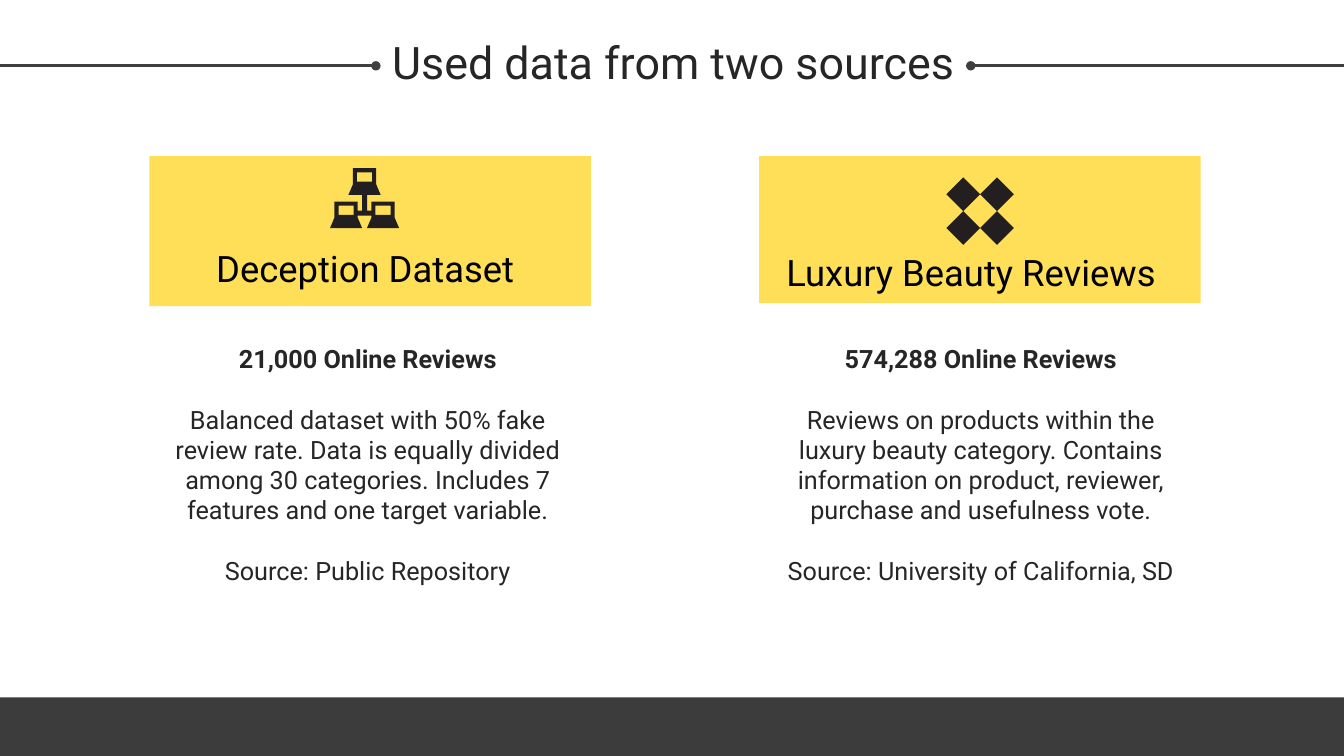
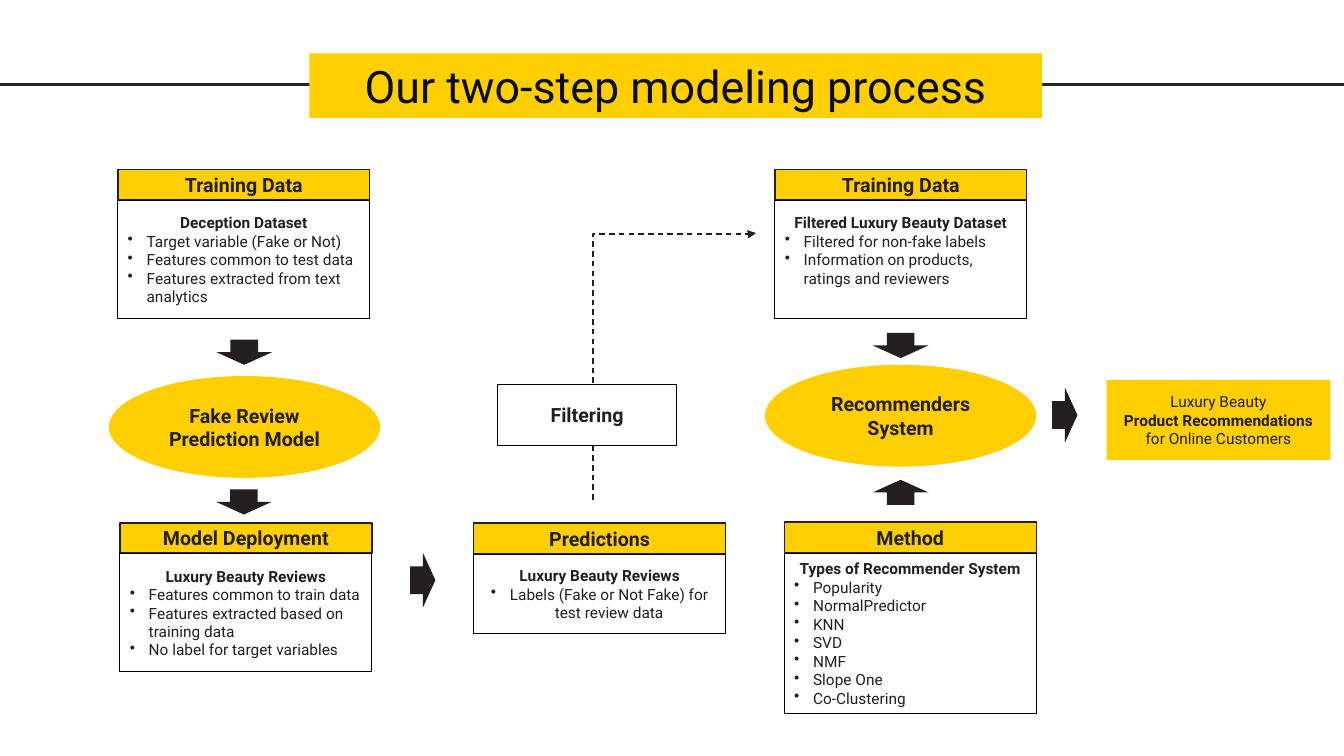
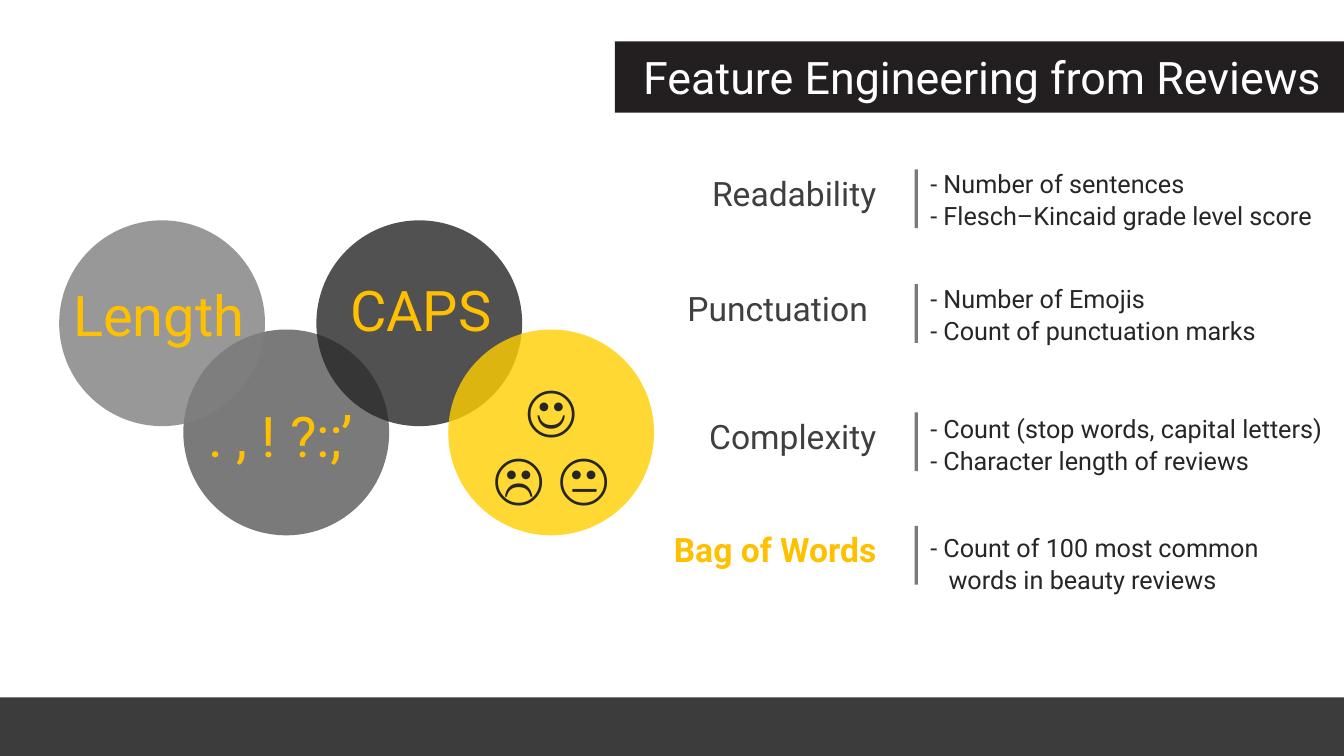
from lxml.etree import SubElement
from pptx import Presentation
from pptx.dml.color import RGBColor
from pptx.enum.dml import MSO_LINE
from pptx.enum.shapes import MSO_CONNECTOR, MSO_SHAPE
from pptx.enum.text import MSO_ANCHOR, PP_ALIGN
from pptx.oxml.ns import qn
from pptx.util import Pt

FONT = "Roboto"
TITLE_SIZE = 32
PAGE_WIDTH, PAGE_HEIGHT = 960, 540

BLACK = RGBColor(0x00, 0x00, 0x00)
WHITE = RGBColor(0xFF, 0xFF, 0xFF)
NEAR_BLACK = RGBColor(0x0C, 0x0C, 0x0C)
INK = RGBColor(0x23, 0x1F, 0x20)
CHARCOAL = RGBColor(0x26, 0x26, 0x26)
SLATE = RGBColor(0x3F, 0x3F, 0x3F)
GRAY = RGBColor(0x59, 0x59, 0x59)
LIGHT_GRAY = RGBColor(0x7F, 0x7F, 0x7F)
YELLOW = RGBColor(0xFF, 0xCF, 0x01)
SOFT_YELLOW = RGBColor(0xFF, 0xD7, 0x2D)
AMBER = RGBColor(0xFF, 0xC0, 0x00)


def points(*values):
    return [Pt(value) for value in values]


def make_translucent(item, percent=80):
    for color in item._element.spPr.iter(qn("a:srgbClr")):
        SubElement(color, qn("a:alpha"), val=str(percent * 1000))


def paint(shape, fill, outline=None, weight=0.75):
    shape.shadow.inherit = False
    if fill is None:
        shape.fill.background()
    else:
        shape.fill.solid()
        shape.fill.fore_color.rgb = fill
    if outline is None:
        shape.line.fill.background()
    else:
        shape.line.color.rgb = outline
        shape.line.width = Pt(weight)


def add_box(page, preset, frame, fill, outline=None, weight=0.75):
    shape = page.shapes.add_shape(preset, *points(*frame))
    paint(shape, fill, outline, weight)
    return shape


def write(shape, texts, size, color, bold=False, align=PP_ALIGN.CENTER, inset=None):
    frame = shape.text_frame
    frame.word_wrap = True
    if inset is not None:
        frame.margin_left = frame.margin_right = Pt(inset)
        frame.margin_top = frame.margin_bottom = Pt(inset)
    for index, text in enumerate(texts):
        para = frame.add_paragraph() if index else frame.paragraphs[0]
        para.text = text
        para.alignment = align
        para.font.name = FONT
        para.font.size = Pt(size)
        para.font.color.rgb = color
        para.font.bold = bold
    return frame.paragraphs


def add_text(page, frame, texts, size, color, bold=False, align=PP_ALIGN.CENTER):
    box = page.shapes.add_textbox(*points(*frame))
    box.text_frame.vertical_anchor = MSO_ANCHOR.TOP
    return write(box, texts, size, color, bold, align)


def add_line(page, start, end, color, weight=2.25, kind=MSO_CONNECTOR.STRAIGHT):
    line = page.shapes.add_connector(kind, *points(*start, *end))
    line.line.color.rgb = color
    line.line.width = Pt(weight)
    SubElement(line._element.spPr, qn("a:effectLst"))
    return line


def add_end_mark(line, mark):
    SubElement(line.line._get_or_add_ln(), qn("a:tailEnd"), type=mark)


def add_footer(page):
    footer = add_box(page, MSO_SHAPE.RECTANGLE, (0, 498.2, PAGE_WIDTH, 42), NEAR_BLACK)
    make_translucent(footer)


def hang(para, indent, bullet=None):
    properties = para._p.get_or_add_pPr()
    properties.set("marL", str(Pt(indent)))
    properties.set("indent", str(-Pt(indent)))
    if bullet:
        mark = SubElement(properties, qn("a:buChar"), char=bullet)
        properties.insert(0, mark)


def add_outline(page, contours, fill):
    first, *others = contours
    builder = page.shapes.build_freeform(*points(*first[0]), scale=1.0)
    builder.add_line_segments([points(*spot) for spot in first[1:]])
    for contour in others:
        builder.move_to(*points(*contour[0]))
        builder.add_line_segments([points(*spot) for spot in contour[1:]])
    paint(builder.convert_to_shape(), fill)


def add_network_icon(page, center, top):
    case = [(-8.3, 0), (8.3, 0), (8.3, 11.5), (11.5, 19), (-11.5, 19), (-8.3, 11.5)]
    screen = [(-5.4, 2.9), (5.4, 2.9), (5.4, 9.5), (-5.4, 9.5)]
    cable = [(-1.8, 19), (1.8, 19), (1.8, 30.3), (5, 30.3), (5, 33.8),
             (-5, 33.8), (-5, 30.3), (-1.8, 30.3)]
    contours = [[(center + x, top + y) for x, y in cable]]
    for shift, drop in ((0, 0), (-13.2, 23.8), (13.2, 23.8)):
        for contour in (case, screen):
            contours.append([(center + shift + x, top + drop + y) for x, y in contour])
    add_outline(page, contours, INK)


def add_diamond_icon(page, left, top, size=24.1):
    for row in range(2):
        for column in range(2):
            frame = (left + column * size, top + row * size, size, size)
            add_box(page, MSO_SHAPE.DIAMOND, frame, INK)


def add_source(page, band, heading_frame, heading, body_frame, texts):
    make_translucent(add_box(page, MSO_SHAPE.RECTANGLE, band, SOFT_YELLOW))
    add_text(page, heading_frame, [heading], 26, BLACK)
    paras = add_text(page, body_frame, texts, 18, CHARCOAL)
    paras[0].font.bold = True
    for para in paras[1:]:
        para.space_before = Pt(21.5)


def build_sources(page):
    add_text(page, (268.5, 21, 425, 46), ["Used data from two sources"], TITLE_SIZE, CHARCOAL)
    for edge, stop in ((0, 268.5), (PAGE_WIDTH, 693.4)):
        add_end_mark(add_line(page, (edge, 47), (stop, 47), SLATE), "oval")
    add_source(
        page, (106.6, 111.6, 315.4, 107), (111.6, 172, 298.8, 39), "Deception Dataset",
        (105, 242, 315.4, 200),
        ["21,000 Online Reviews",
         "Balanced dataset with 50% fake review rate. Data is equally divided among "
         "30 categories. Includes 7 features and one target variable.",
         "Source: Public Repository"])
    add_network_icon(page, 260.4, 120.2)
    add_source(
        page, (542.2, 111.6, 315.4, 105), (553, 175, 281.5, 39), "Luxury Beauty Reviews",
        (545.8, 242, 309.6, 200),
        ["574,288 Online Reviews",
         "Reviews on products within the luxury beauty category. Contains information "
         "on product, reviewer, purchase and usefulness vote.",
         "Source: University of California, SD"])
    add_diamond_icon(page, 676, 126.7)
    add_footer(page)


def add_label(page, preset, frame, text, fill, outline=None, weight=0.75):
    write(add_box(page, preset, frame, fill, outline, weight), [text], 14, INK, True, inset=7.2)


def add_card(page, left, top, title, height, heading, bullets,
             align=PP_ALIGN.LEFT, spare_lines=0):
    add_label(page, MSO_SHAPE.RECTANGLE, (left, top, 180, 21.6), title, YELLOW, INK, 1)
    body = add_box(page, MSO_SHAPE.RECTANGLE, (left, top + 22.2, 180, height), None, BLACK)
    paras = write(body, [heading, *bullets], 11, INK, align=align, inset=7.2)
    body.text_frame.margin_bottom = Pt(7.2 + 13 * spare_lines)
    paras[0].alignment = PP_ALIGN.CENTER
    paras[0].font.bold = True
    for para in paras[1:]:
        hang(para, 13.5, "•")


def add_arrow(page, preset, center, middle):
    width, height = (18, 39.6) if preset == MSO_SHAPE.RIGHT_ARROW else (39.6, 18)
    add_box(page, preset, (center - width / 2, middle - height / 2, width, height), INK)


def add_rising_elbow(page, start, tip):
    center, middle = (start[0] + tip[0]) / 2, (start[1] + tip[1]) / 2
    half_rise, half_run = (start[1] - tip[1]) / 2, (tip[0] - start[0]) / 2
    elbow = add_line(page, (center + half_rise, middle + half_run),
                     (center - half_rise, middle - half_run), INK, 1, MSO_CONNECTOR.ELBOW)
    properties = elbow._element.spPr
    properties.find(qn("a:xfrm")).set("rot", "5400000")
    geometry = properties.find(qn("a:prstGeom"))
    guides = geometry.find(qn("a:avLst"))
    if guides is None:
        guides = SubElement(geometry, qn("a:avLst"))
    SubElement(guides, qn("a:gd"), name="adj1", fmla="val 99600")
    elbow.line.dash_style = MSO_LINE.DASH
    add_end_mark(elbow, "triangle")


def build_process(page):
    add_line(page, (0, 60.5), (PAGE_WIDTH, 60.5), CHARCOAL)
    banner = add_box(page, MSO_SHAPE.RECTANGLE, (221, 38.2, 523.4, 46), YELLOW)
    write(banner, ["Our two-step modeling process"], TITLE_SIZE, NEAR_BLACK)

    add_card(page, 84.2, 121, "Training Data", 84.2, "Deception Dataset",
             ["Target variable (Fake or Not)", "Features common to test data",
              "Features extracted from text analytics"])
    add_card(page, 85.7, 373.5, "Model Deployment", 84.2, "Luxury Beauty Reviews",
             ["Features common to train data", "Features extracted based on training data",
              "No label for target variables"])
    add_card(page, 338.4, 373.7, "Predictions", 56.9, "Luxury Beauty Reviews",
             ["Labels (Fake or Not Fake) for test review data"], align=PP_ALIGN.CENTER)
    add_card(page, 553.5, 121, "Training Data", 84.2, "Filtered Luxury Beauty Dataset",
             ["Filtered for non-fake labels", "Information on products, ratings and reviewers"],
             spare_lines=1)
    add_card(page, 560.2, 373, "Method", 114.5, "Types of Recommender System",
             ["Popularity", "NormalPredictor", "KNN", "SVD", "NMF", "Slope One",
              "Co-Clustering"])

    add_label(page, MSO_SHAPE.OVAL, (77.8, 268.6, 193.7, 72.7),
              "Fake Review Prediction Model", YELLOW)
    add_label(page, MSO_SHAPE.OVAL, (546.5, 260.6, 193.7, 72.7), "Recommenders System", YELLOW)

    add_rising_elbow(page, (423.4, 357), (540, 166.5))
    add_label(page, MSO_SHAPE.RECTANGLE, (355.5, 274.5, 127.7, 44), "Filtering", WHITE, BLACK)

    result = add_box(page, MSO_SHAPE.RECTANGLE, (790.4, 271.6, 160, 57), YELLOW)
    paras = write(result, ["Luxury Beauty", "Product Recommendations "], 11, INK, inset=7.2)
    paras[1].runs[0].font.bold = True
    paras[1].add_run().text = "for Online Customers"

    for preset, center, middle in (
        (MSO_SHAPE.DOWN_ARROW, 174.5, 251.6),
        (MSO_SHAPE.DOWN_ARROW, 174.2, 358.5),
        (MSO_SHAPE.RIGHT_ARROW, 302, 414.4),
        (MSO_SHAPE.DOWN_ARROW, 643.3, 246.8),
        (MSO_SHAPE.UP_ARROW, 643.3, 351.7),
        (MSO_SHAPE.RIGHT_ARROW, 760.6, 296.5),
    ):
        add_arrow(page, preset, center, middle)


def add_feature(page, label, label_right, rule_top, detail_top, details, accent=False):
    add_text(page, (label_right - 176, rule_top - 1.2, 176, 36), [label], 24,
             AMBER if accent else SLATE, accent, PP_ALIGN.RIGHT)
    rule = add_line(page, (654.5, rule_top), (654.5, rule_top + 42), GRAY)
    make_translucent(rule)
    paras = add_text(page, (657.4, detail_top, 300, 52), details, 18, CHARCOAL,
                     align=PP_ALIGN.LEFT)
    for para in paras:
        para.line_spacing = Pt(23)
        hang(para, 13)


def build_features(page):
    banner = add_box(page, MSO_SHAPE.RECTANGLE, (439.2, 29.5, 520.8, 51), INK)
    write(banner, ["Feature Engineering from Reviews"], TITLE_SIZE, WHITE, align=PP_ALIGN.LEFT)
    banner.text_frame.margin_left = Pt(20.2)

    for left, top, fill in ((131, 235.4, GRAY), (42.3, 157.4, LIGHT_GRAY),
                            (226, 157.4, CHARCOAL), (320.2, 235.4, YELLOW)):
        make_translucent(add_box(page, MSO_SHAPE.OVAL, (left, top, 147, 147), fill))
    for left, top, text in ((26.6, 196.6, "Length"), (113.8, 283, ". , ! ?:;’"),
                            (213.8, 193, "CAPS")):
        add_text(page, (left, top, 173.5, 55.4), [text], 40, AMBER)
    add_text(page, (335.5, 264.2, 116.6, 104.4), ["☺ ☹ 😐"], 40, CHARCOAL)

    add_feature(page, "Readability", 633, 121, 115.2,
                ["- Number of sentences", "- Flesch–Kincaid grade level score"])
    add_feature(page, "Punctuation", 627, 203, 197.5,
                ["- Number of Emojis", "- Count of punctuation marks"])
    add_feature(page, "Complexity", 633, 294.5, 290.2,
                ["- Count (stop words, capital letters)", "- Character length of reviews"])
    add_feature(page, "Bag of Words", 633, 375.6, 375.2,
                ["- Count of 100 most common\nwords in beauty reviews"], accent=True)
    add_footer(page)


def main():
    deck = Presentation()
    deck.slide_width, deck.slide_height = points(PAGE_WIDTH, PAGE_HEIGHT)
    for build in (build_sources, build_process, build_features):
        build(deck.slides.add_slide(deck.slide_layouts[6]))
    deck.save("out.pptx")


if __name__ == "__main__":
    main()
